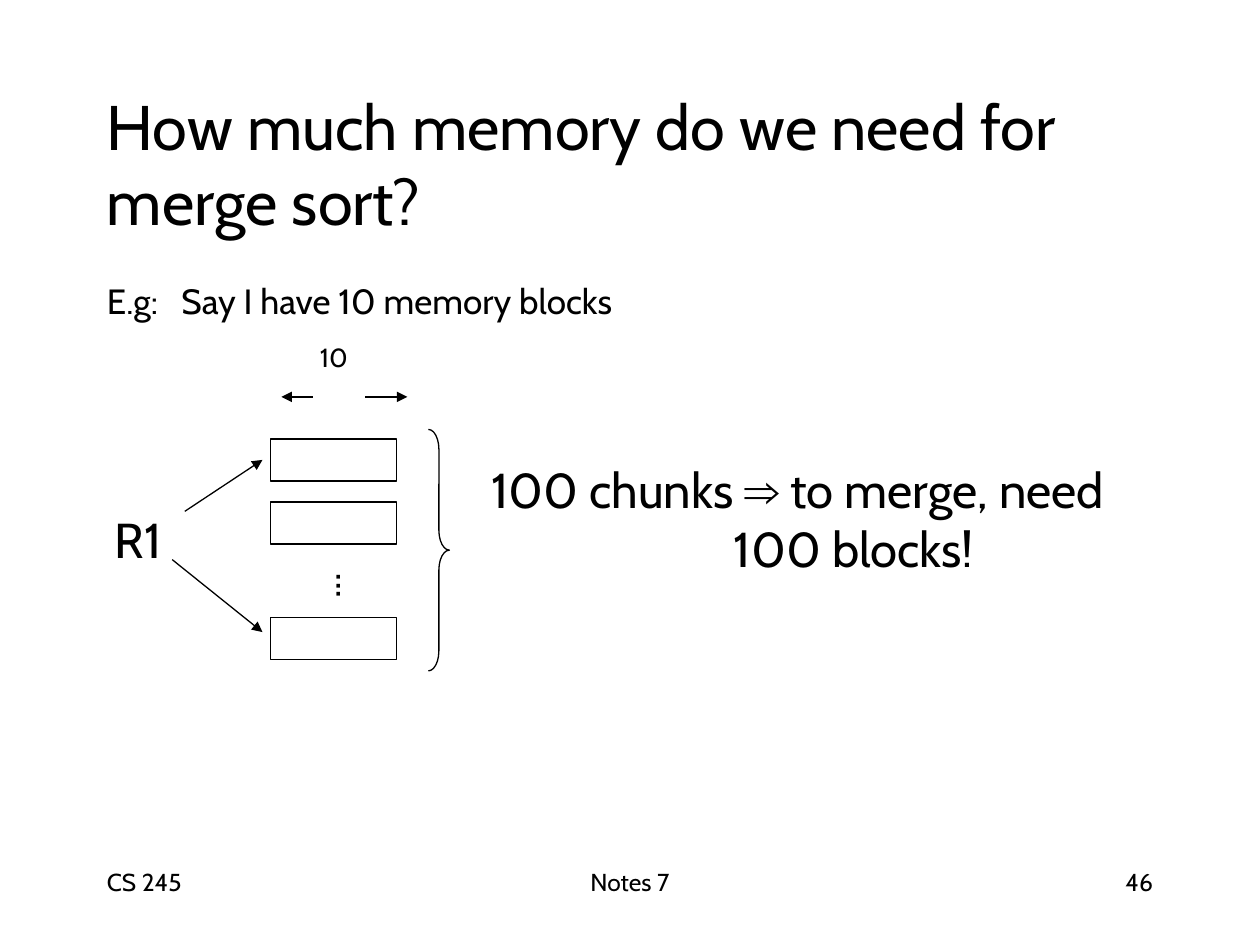
import pptx
import pptx.dml.color
import pptx.enum.shapes
import pptx.enum.text
import pptx.oxml
import pptx.oxml.ns
import pptx.util

BLACK = pptx.dml.color.RGBColor(0x00, 0x00, 0x00)
WHITE = pptx.dml.color.RGBColor(0xFF, 0xFF, 0xFF)
FONT = "Cabin"
SYMBOL_FONT = "Arial"
LINE_WIDTH = pptx.util.Pt(0.75)

SHAPES = pptx.enum.shapes.MSO_SHAPE
ALIGN = pptx.enum.text.PP_ALIGN
ANCHOR = pptx.enum.text.MSO_ANCHOR

SLIDE_WIDTH, SLIDE_HEIGHT = pptx.util.Inches(10), pptx.util.Inches(7.5)
COLUMNS = 120  # the slide is a grid of 120 columns and 90 rows of square cells
CELL = SLIDE_WIDTH // COLUMNS


def cells(*counts):
    return [pptx.util.Emu(round(count * CELL)) for count in counts]


def inside(box, left, top, width, height):
    """Move a box given relative to another box onto the slide grid."""
    return box[0] + left, box[1] + top, width, height


def add_text(slide, box, text, size, align=ALIGN.LEFT, anchor=ANCHOR.TOP,
             symbols="", tab=None, indents=(), rotation=0):
    """Write text, one paragraph a line; the symbols get their own font."""
    shape = slide.shapes.add_textbox(*cells(*box))
    shape.rotation = rotation
    frame = shape.text_frame
    frame.word_wrap = True
    frame.vertical_anchor = anchor
    for index, line in enumerate(text.split("\n")):
        paragraph = frame.paragraphs[0] if index == 0 else frame.add_paragraph()
        properties = paragraph._p.get_or_add_pPr()
        if index < len(indents):
            properties.set("marL", str(cells(indents[index])[0]))
        if tab is not None:
            tabs = pptx.oxml.parse_xml(
                f'<a:tabLst {pptx.oxml.ns.nsdecls("a")}>'
                f'<a:tab pos="{cells(tab)[0]}" algn="l"/></a:tabLst>')
            properties.append(tabs)
        paragraph.alignment = align
        pieces = [line]
        for symbol in symbols:
            before, found, after = pieces.pop().partition(symbol)
            pieces += [before, found, after]
        for piece in filter(None, pieces):
            run = paragraph.add_run()
            run.text = piece
            run.font.name = SYMBOL_FONT if piece in symbols else FONT
            run.font.size = pptx.util.Pt(size)
            run.font.color.rgb = BLACK
    return shape


def add_outline(slide, kind, box, fill=None):
    shape = slide.shapes.add_shape(kind, *cells(*box))
    shape.shadow.inherit = False
    if fill is None:
        shape.fill.background()
    else:
        shape.fill.solid()
        shape.fill.fore_color.rgb = fill
    shape.line.color.rgb = BLACK
    shape.line.width = LINE_WIDTH
    return shape


def add_arrow(slide, box, start, end):
    """Draw an arrow between two points given relative to the box."""
    points = [box[0] + start[0], box[1] + start[1], box[0] + end[0], box[1] + end[1]]
    arrow = slide.shapes.add_connector(
        pptx.enum.shapes.MSO_CONNECTOR.STRAIGHT, *cells(*points))
    arrow.line.color.rgb = BLACK
    arrow.line.width = LINE_WIDTH
    namespace = pptx.oxml.ns.nsdecls("a")
    arrow.line._get_or_add_ln().append(
        pptx.oxml.parse_xml(f'<a:tailEnd {namespace} type="triangle"/>'))
    arrow._element.spPr.append(pptx.oxml.parse_xml(f"<a:effectLst {namespace}/>"))


def add_heading(slide, box):
    add_text(slide, inside(box, 0, 0, box[2], 15),
             "How much memory do we need for merge sort?", 36, anchor=ANCHOR.MIDDLE)
    add_text(slide, inside(box, 0, 18, box[2], 6),
             "E.g:\tSay I have 10 memory blocks", 20, tab=7.1)


def add_chunk_diagram(slide, box):
    """Show relation R1 split into chunks of ten blocks, closed by a brace."""
    chunk_left, chunk_width, chunk_height = 16.8, 12, 4
    add_text(slide, inside(box, chunk_left, 0, chunk_width, 4), "10", 15,
             align=ALIGN.CENTER, anchor=ANCHOR.MIDDLE)
    add_arrow(slide, box, (20.8, 5.8), (17.8, 5.8))
    add_arrow(slide, box, (25.8, 5.8), (29.8, 5.8))

    for top in (9.8, 15.8, 26.8):
        add_outline(slide, SHAPES.RECTANGLE,
                    inside(box, chunk_left, top, chunk_width, chunk_height), WHITE)
    add_text(slide, inside(box, 19, 20.8, 5.6, 6), "...", 24,
             align=ALIGN.CENTER, anchor=ANCHOR.MIDDLE, rotation=270)

    add_text(slide, inside(box, 0.2, 15.9, 7.9, 6.8), "R1", 28,
             align=ALIGN.CENTER, anchor=ANCHOR.MIDDLE)
    add_arrow(slide, box, (8.6, 16.7), (16, 11.8))
    add_arrow(slide, box, (7.4, 21.3), (16, 28.2))

    brace = add_outline(slide, SHAPES.RIGHT_BRACE, inside(box, 31.8, 8.9, 2, 23))
    brace.adjustments[0] = 0.95


def add_conclusion(slide, box):
    add_text(slide, box, "100 chunks ⇒ to merge, need\n100 blocks!", 28,
             anchor=ANCHOR.MIDDLE, symbols="⇒", indents=(0, 23.1))


def add_footer(slide, box):
    parts = (("CS 245", 0, 25, ALIGN.LEFT),
             ("Notes 7", 32, 38, ALIGN.CENTER),
             ("46", 77, 25, ALIGN.RIGHT))
    for text, left, width, align in parts:
        add_text(slide, inside(box, left, 0, width, box[3]), text, 14, align=align)


def main():
    presentation = pptx.Presentation()
    presentation.slide_width, presentation.slide_height = SLIDE_WIDTH, SLIDE_HEIGHT
    slide = presentation.slides.add_slide(presentation.slide_layouts[6])
    add_heading(slide, (9, 8, 102, 24))
    add_chunk_diagram(slide, (9, 32, 34, 32))
    add_conclusion(slide, (45.6, 43.1, 66.8, 12.5))
    add_footer(slide, (9, 82, 102, 6))
    presentation.save("out.pptx")


if __name__ == "__main__":
    main()
